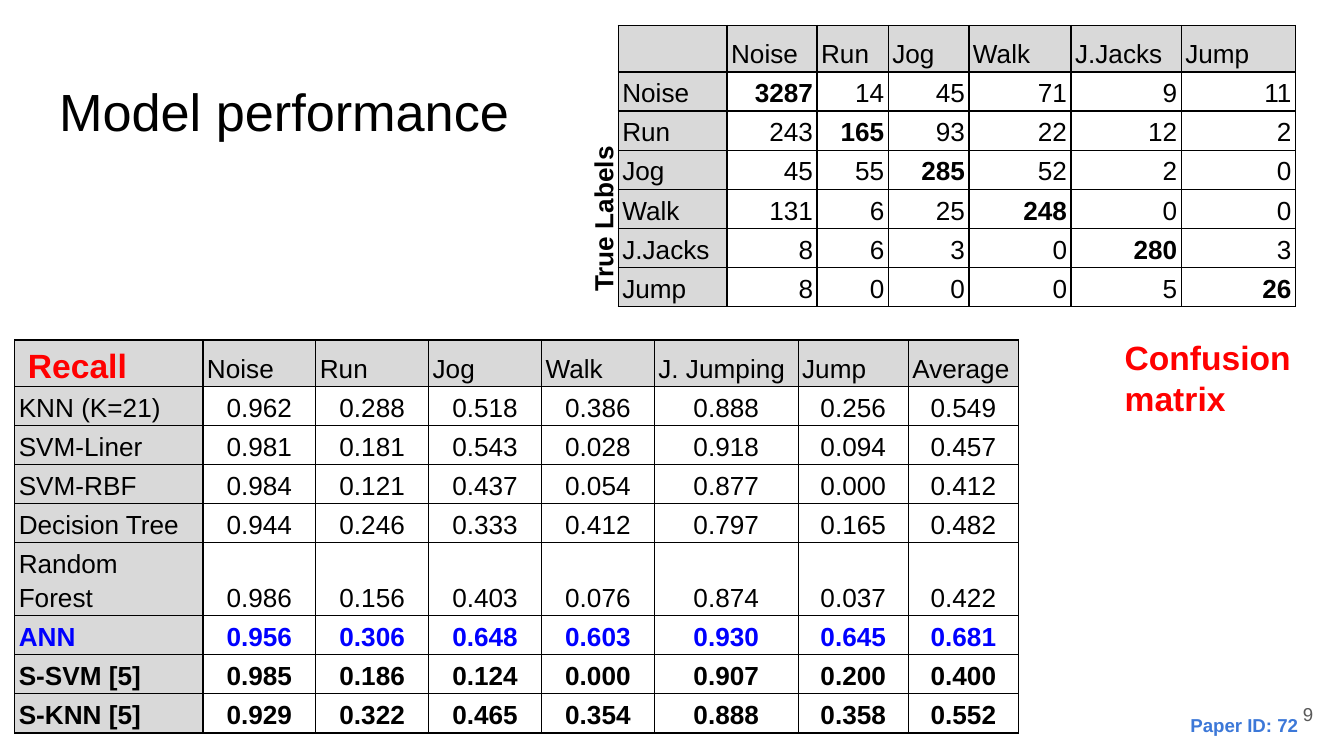
from dataclasses import dataclass

from lxml import etree
from pptx import Presentation
from pptx.dml.color import RGBColor
from pptx.enum.text import MSO_ANCHOR, MSO_AUTO_SIZE, PP_ALIGN
from pptx.oxml.ns import qn
from pptx.util import Inches, Pt

LEFT, CENTER, RIGHT = PP_ALIGN.LEFT, PP_ALIGN.CENTER, PP_ALIGN.RIGHT
TOP, MIDDLE, BOTTOM = MSO_ANCHOR.TOP, MSO_ANCHOR.MIDDLE, MSO_ANCHOR.BOTTOM
FIXED = MSO_AUTO_SIZE.NONE
TITLE_ONLY = 5
GRID_STEP = 0.1
GRID_COLS, GRID_ROWS = 100, 56.25


@dataclass(frozen=True)
class Theme:
    font: str = "Arial"
    ink: str = "000000"
    accent: str = "FF0000"
    best: str = "0000FF"
    paper: str = "3C78D8"
    muted: str = "595959"
    label_fill: str = "D9D9D9"
    title_size: int = 28
    caption_size: int = 18
    body_size: int = 14
    small_size: int = 10
    border: float = 0.75
    label_spacing: float = 1.15


def grid(steps):
    return Inches(steps * GRID_STEP)


class SlideBuilder:
    def __init__(self, slide, theme):
        self.slide = slide
        self.theme = theme

    def style(self, frame, size, color, bold=False, align=LEFT, spacing=None):
        for paragraph in frame.paragraphs:
            paragraph.alignment = align
            if spacing:
                paragraph.line_spacing = spacing
            for run in paragraph.runs:
                run.font.name = self.theme.font
                run.font.size = Pt(size)
                run.font.bold = bold
                run.font.color.rgb = RGBColor.from_string(color)

    def place(self, shape, box, text, size, color, bold=False, align=LEFT, anchor=TOP):
        shape.left, shape.top, shape.width, shape.height = map(grid, box)
        frame = shape.text_frame
        frame.text = text
        frame.word_wrap = True
        frame.auto_size = FIXED
        frame.vertical_anchor = anchor
        frame.margin_left = frame.margin_right = grid(1)
        frame.margin_top = frame.margin_bottom = grid(1)
        self.style(frame, size, color, bold, align)

    def title(self, box, text):
        self.place(self.slide.shapes.title, box, text,
                   self.theme.title_size, self.theme.ink)

    def text(self, box, text, size, color, rotation=0, **options):
        shape = self.slide.shapes.add_textbox(*map(grid, box))
        self.place(shape, box, text, size, color, **options)
        shape.rotation = rotation

    def outline(self, cell):
        properties = cell._tc.get_or_add_tcPr()
        for side in ("a:lnL", "a:lnR", "a:lnT", "a:lnB"):
            line = etree.SubElement(properties, qn(side), w=str(Pt(self.theme.border)))
            fill = etree.SubElement(line, qn("a:solidFill"))
            etree.SubElement(fill, qn("a:srgbClr"), val=self.theme.ink)

    def cell(self, cell, text, is_label, color, bold, align, spacing):
        cell.margin_left = cell.margin_right = grid(0.3)
        cell.margin_top = cell.margin_bottom = grid(0.2)
        cell.vertical_anchor = BOTTOM
        self.outline(cell)
        if is_label:
            cell.fill.solid()
            cell.fill.fore_color.rgb = RGBColor.from_string(self.theme.label_fill)
        else:
            cell.fill.background()
        if text:
            cell.text_frame.text = text
            self.style(cell.text_frame, self.theme.body_size, color, bold, align, spacing)

    def table(self, left, top, widths, heights, rows, align, spacing, emphasis):
        frame = self.slide.shapes.add_table(
            len(rows), len(widths), grid(left), grid(top),
            grid(sum(widths)), grid(sum(heights)))
        table = frame.table
        table.first_row = table.horz_banding = False
        for column, width in zip(table.columns, widths):
            column.width = grid(width)
        for row, height in zip(table.rows, heights):
            row.height = grid(height)
        for r, values in enumerate(rows):
            for c, value in enumerate(values):
                is_label = r == 0 or c == 0
                color, bold = emphasis(r, c)
                self.cell(table.cell(r, c), value, is_label, color, bold,
                          LEFT if is_label else align,
                          self.theme.label_spacing if is_label else spacing)


RECALL_CLASSES = ["", "Noise", "Run", "Jog", "Walk", "J. Jumping", "Jump", "Average"]
RECALL = {
    "KNN (K=21)": "0.962 0.288 0.518 0.386 0.888 0.256 0.549",
    "SVM-Liner": "0.981 0.181 0.543 0.028 0.918 0.094 0.457",
    "SVM-RBF": "0.984 0.121 0.437 0.054 0.877 0.000 0.412",
    "Decision Tree": "0.944 0.246 0.333 0.412 0.797 0.165 0.482",
    "Random Forest": "0.986 0.156 0.403 0.076 0.874 0.037 0.422",
    "ANN": "0.956 0.306 0.648 0.603 0.930 0.645 0.681",
    "S-SVM [5]": "0.985 0.186 0.124 0.000 0.907 0.200 0.400",
    "S-KNN [5]": "0.929 0.322 0.465 0.354 0.888 0.358 0.552",
}
BEST_ROW = list(RECALL).index("ANN") + 1

CONFUSION = {
    "Noise": "3287 14 45 71 9 11",
    "Run": "243 165 93 22 12 2",
    "Jog": "45 55 285 52 2 0",
    "Walk": "131 6 25 248 0 0",
    "J.Jacks": "8 6 3 0 280 3",
    "Jump": "8 0 0 0 5 26",
}


def with_labels(header, body):
    return [header] + [[label, *values.split()] for label, values in body.items()]


def main():
    theme = Theme()
    deck = Presentation()
    deck.slide_width, deck.slide_height = grid(GRID_COLS), grid(GRID_ROWS)
    slide = deck.slides.add_slide(deck.slide_layouts[TITLE_ONLY])
    builder = SlideBuilder(slide, theme)

    def recall_emphasis(row, column):
        return theme.best if row == BEST_ROW else theme.ink, row >= BEST_ROW

    def diagonal_emphasis(row, column):
        return theme.ink, row == column

    builder.title((3.4, 4.9, 39.7, 6.3), "Model performance")
    builder.table(1.1, 25.3, [14] + [8.4] * 4 + [10.7, 8.2, 8.2],
                  [3.3] + [2.8] * 4 + [2.3] * 4,
                  with_labels(RECALL_CLASSES, RECALL), CENTER, None, recall_emphasis)
    builder.text((87.6, 52.1, 12, 3.7), "Paper ID: 72",
                 theme.small_size, theme.paper, bold=True)
    builder.table(46, 1.9, [8.1, 6.7, 5.3, 6, 7.6, 8.2, 8.5], [2.7] + [2.2] * 6,
                  with_labels(["", *CONFUSION], CONFUSION), RIGHT,
                  theme.label_spacing, diagonal_emphasis)
    builder.text((1.1, 24.7, 13.3, 5), "Recall",
                 theme.caption_size, theme.accent, bold=True)
    builder.text((82.7, 24.1, 15.1, 8.1), "Confusion matrix",
                 theme.caption_size, theme.accent, bold=True)
    builder.text((92.7, 51, 6, 4.3), "9", theme.small_size, theme.muted,
                 align=RIGHT, anchor=MIDDLE)
    builder.text((37.5, 13.1, 14.8, 4.4), "True Labels",
                 theme.body_size, theme.ink, rotation=270, bold=True)
    deck.save("out.pptx")


if __name__ == "__main__":
    main()
